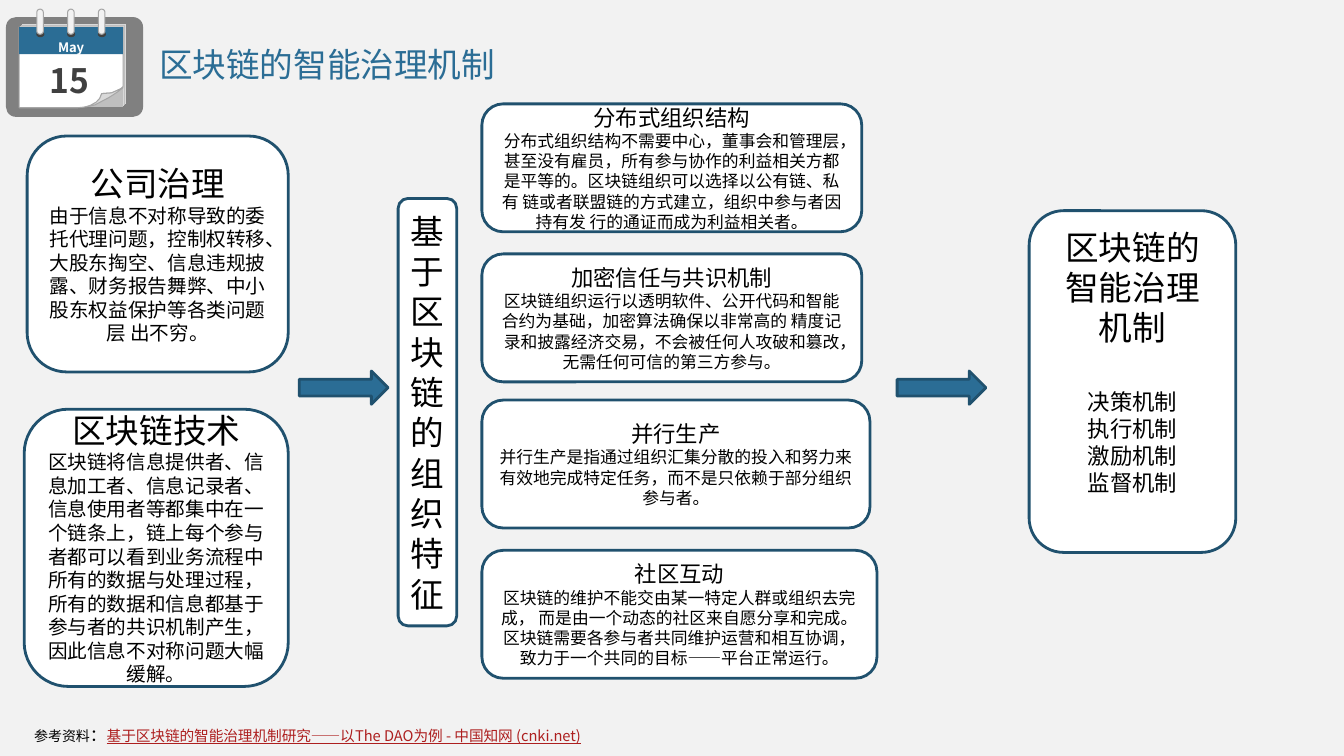
from pptx import Presentation
from pptx.dml.color import RGBColor
from pptx.enum.shapes import MSO_SHAPE
from pptx.enum.text import MSO_ANCHOR, PP_ALIGN
from pptx.oxml.ns import qn
from pptx.util import Pt
from lxml.etree import SubElement

FONT = "Noto Sans CJK SC"
BLUE = RGBColor(0x2B, 0x6D, 0x95)
NAVY = RGBColor(0x20, 0x51, 0x6E)
WHITE = RGBColor(0xFF, 0xFF, 0xFF)
BLACK = RGBColor(0, 0, 0)
RED = RGBColor(0xAD, 0x1F, 0x1F)
DARK = RGBColor(0x40, 0x40, 0x40)
SLATE = RGBColor(0x80, 0x80, 0x80)
EDGE = RGBColor(0xA6, 0xA6, 0xA6)
GRAY = RGBColor(0xBF, 0xBF, 0xBF)
LIGHT = RGBColor(0xD9, 0xD9, 0xD9)
PALE = RGBColor(0xF2, 0xF2, 0xF2)

PAGE = [(0, 0), (74.2, 0), (74.2, 42.5), (72, 44.6), (66, 47), (59, 47.5),
        (57.5, 51.5), (55.4, 54), (51, 56.2), (46, 57.2), (41.8, 57.6), (0, 57.6)]
CURL = [(74.2, 43.2), (66, 47), (59, 47.5), (57.5, 51), (55, 53.6), (51, 55.8),
        (48, 56.9), (54, 55.6), (64, 50.4), (70, 46.5)]

SOURCES = [
    (19.4, 97.2, 186.5, 168.5, "公司治理",
     "由于信息不对称导致的委托代理问题，控制权转移、大股东掏空、信息违规披露、财务报告舞弊、"
     "中小股东权益保护等各类问题层 出不穷。"),
    (17.3, 292.3, 188.6, 198, "区块链技术",
     "区块链将信息提供者、信息加工者、信息记录者、信息使用者等都集中在一个链条上，"
     "链上每个参与者都可以看到业务流程中所有的数据与处理过程，"
     "所有的数据和信息都基于参与者的共识机制产生， 因此信息不对称问题大幅缓解。"),
]
TRAITS = [
    (74.2, 271.4, "分布式组织结构",
     "分布式组织结构不需要中心，董事会和管理层，甚至没有雇员，所有参与协作的利益相关方都是平等的。"
     "区块链组织可以选择以公有链、私有 链或者联盟链的方式建立，组织中参与者因持有发 行的通证而成为利益相关者。"),
    (181.4, 271.4, "加密信任与共识机制",
     "区块链组织运行以透明软件、公开代码和智能合约为基础，加密算法确保以非常高的 精度记录和披露经济交易，"
     "不会被任何人攻破和篡改，无需任何可信的第三方参与。"),
    (285.8, 277.2, "并行生产",
     "并行生产是指通过组织汇集分散的投入和努力来有效地完成特定任务，而不是只依赖于部分组织参与者。"),
    (393.1, 282.2, "社区互动",
     "区块链的维护不能交由某一特定人群或组织去完成， 而是由一个动态的社区来自愿分享和完成。"
     "区块链需要各参与者共同维护运营和相互协调，致力于一个共同的目标——平台正常运行。"),
]
OUTCOMES = ["决策机制", "执行机制", "激励机制", "监督机制"]


def write(para, text, size=24, color=BLACK, bold=False, line=False, align=PP_ALIGN.CENTER):
    """Add one formatted run to a paragraph."""
    para.alignment = align
    run = para.add_run()
    run.text = text
    font = run.font
    font.size, font.bold, font.underline = Pt(size), bold, line
    font.color.rgb = color
    font.name = FONT
    SubElement(font._element, qn("a:ea")).set("typeface", FONT)


def paint(shape, fill, edge=None, width=0.75):
    """Give a shape its fill and outline."""
    shape.shadow.inherit = False
    shape.fill.solid()
    shape.fill.fore_color.rgb = fill
    if edge is None:
        shape.line.fill.background()
    else:
        shape.line.color.rgb = edge
        shape.line.width = Pt(width)
    return shape


def block(slide, kind, x, y, w, h, fill, edge=None, width=0.75):
    """Add a painted preset shape."""
    shape = slide.shapes.add_shape(kind, Pt(x), Pt(y), Pt(w), Pt(h))
    return paint(shape, fill, edge, width)


def sheet(slide, x, y, points, fill):
    """Add a closed outline placed from the corner of the page."""
    spots = [(Pt(x + a), Pt(y + b)) for a, b in points]
    form = slide.shapes.build_freeform(*spots[0])
    form.add_line_segments(spots[1:])
    paint(form.convert_to_shape(), fill, EDGE)


def label(slide, x, y, w, h):
    """Add an empty text box and return its first paragraph."""
    frame = slide.shapes.add_textbox(Pt(x), Pt(y), Pt(w), Pt(h)).text_frame
    frame.word_wrap = True
    return frame.paragraphs[0]


def card(slide, x, y, w, h, head, size=24):
    """Draw a rounded card with a heading and return its text frame."""
    shape = block(slide, MSO_SHAPE.ROUNDED_RECTANGLE, x, y, w, h, WHITE, NAVY, 2)
    frame = shape.text_frame
    frame.word_wrap = True
    frame.vertical_anchor = MSO_ANCHOR.MIDDLE
    write(frame.paragraphs[0], head, size)
    return frame


def date(slide, x, y, w, h):
    """Draw the calendar icon in its box."""
    back = block(slide, MSO_SHAPE.ROUNDED_RECTANGLE, x, y, w, h, SLATE)
    back.adjustments[0] = 0.1
    for i, tint in enumerate([LIGHT, GRAY] * 2):
        block(slide, MSO_SHAPE.RECTANGLE, x + 11.5 - 0.7 * i, y + 5.1 + 0.7 * i, 74.2, 56.9, tint)
    left, top = x + 9.4, y + 7.2
    sheet(slide, left, top, PAGE, WHITE)
    sheet(slide, left, top, CURL, LIGHT)
    band = block(slide, MSO_SHAPE.RECTANGLE, left, top, 74.2, 19.4, BLUE).text_frame
    band.margin_left = band.margin_right = band.margin_bottom = 0
    band.margin_top = Pt(9.4)
    band.vertical_anchor = MSO_ANCHOR.MIDDLE
    write(band.paragraphs[0], "May", 9.3, WHITE, bold=True)
    for i in range(3):
        ring = left + 12.2 + 22 * i
        block(slide, MSO_SHAPE.OVAL, ring, top + 2.9, 5.8, 4.3, DARK)
        pin = block(slide, MSO_SHAPE.ROUNDED_RECTANGLE, ring + 0.4, top - 12.9, 4.7, 18, PALE, EDGE)
        pin.adjustments[0] = 0.5
    write(label(slide, left - 1, top + 20.2, 74.2, 36), "15", 24, DARK, bold=True)


def causes(slide):
    """Draw the two source cards on the left."""
    for x, y, w, h, head, body in SOURCES:
        write(card(slide, x, y, w, h, head).add_paragraph(), body, 14)


def traits(slide, x, h):
    """Draw the column of trait cards."""
    for y, w, head, body in TRAITS:
        write(card(slide, x, y, w, h, head, 16).add_paragraph(), body, 12)


def result(slide, x, y, w, h, gap=29):
    """Draw the result card with its list set apart from the heading."""
    frame = card(slide, x, y, w, h, "区块链的智能治理机制")
    frame.margin_bottom = Pt(3.6 + gap)
    for i, item in enumerate(OUTCOMES):
        para = frame.add_paragraph()
        para.space_before = Pt(0 if i else gap)
        write(para, item, 16)


def cite(slide, x, y, w, h):
    """Write the reference line."""
    para = label(slide, x, y, w, h)
    left = PP_ALIGN.LEFT
    write(para, "参考资料", 10, align=left)
    write(para, "：", 12, align=left)
    write(para, "基于区块链的智能治理机制研究——以The DAO为例 - 中国知网 (cnki.net)",
          10.5, RED, line=True, align=left)


def main():
    """Build the slide and save it."""
    deck = Presentation()
    deck.slide_width, deck.slide_height = Pt(960), Pt(540)
    slide = deck.slides.add_slide(deck.slide_layouts[6])
    slide.background.fill.solid()
    slide.background.fill.fore_color.rgb = PALE
    date(slide, 4.3, 12.2, 97.9, 71.3)
    write(label(slide, 106.6, 28.1, 407.5, 36), "区块链的智能治理机制", 24, BLUE, align=PP_ALIGN.LEFT)
    causes(slide)
    card(slide, 284.4, 141.8, 41.8, 305.3, "基于区块链的组织特征")
    traits(slide, 344.2, 91.4)
    result(slide, 735.1, 150.5, 147.6, 244.1)
    for x in (213.8, 640.8):
        block(slide, MSO_SHAPE.RIGHT_ARROW, x, 265, 63.4, 23.8, BLUE, NAVY, 2)
    cite(slide, 17.3, 514.1, 445.7, 21.6)
    deck.save("out.pptx")


if __name__ == "__main__":
    main()
